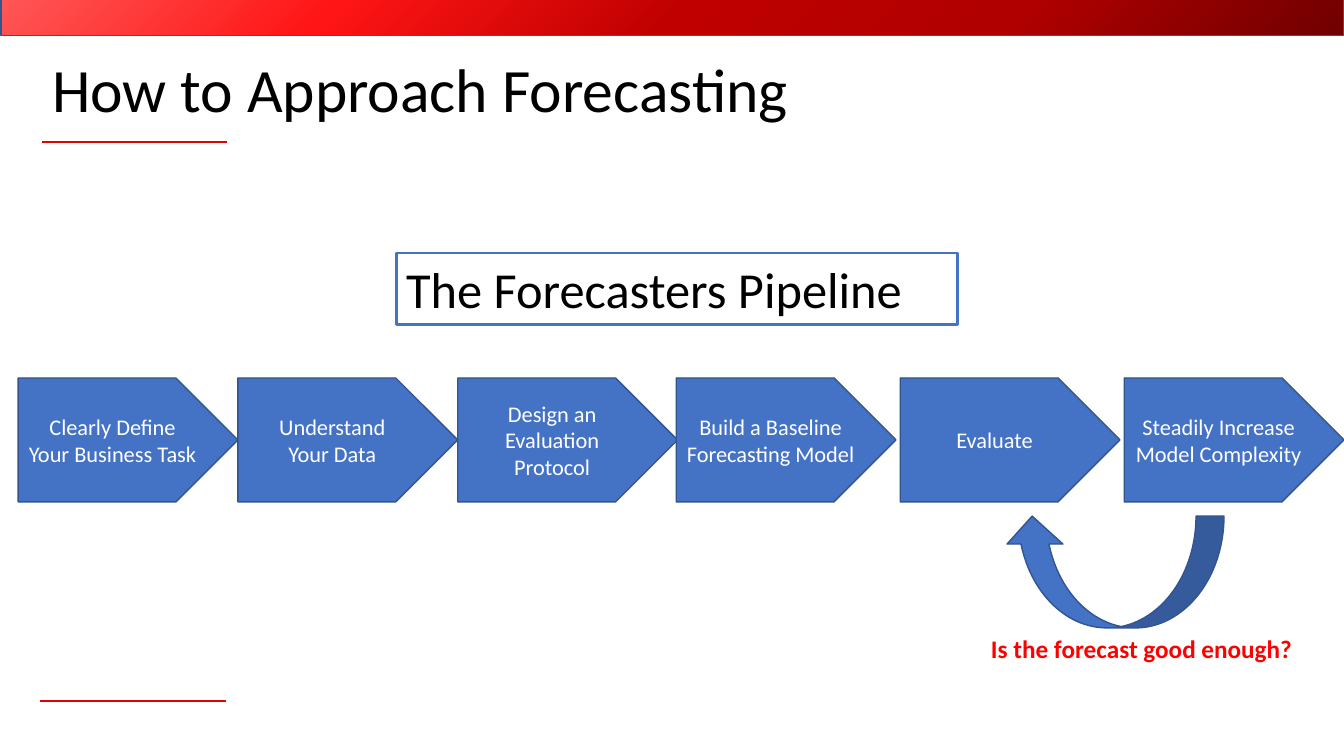
from dataclasses import dataclass

from lxml import etree
from pptx import Presentation
from pptx.dml.color import RGBColor
from pptx.enum.shapes import MSO_CONNECTOR, MSO_SHAPE
from pptx.enum.text import MSO_ANCHOR, PP_ALIGN
from pptx.oxml.ns import qn
from pptx.util import Inches, Pt

STRAIGHT = MSO_CONNECTOR.STRAIGHT
RECTANGLE, BAND = MSO_SHAPE.RECTANGLE, MSO_SHAPE.FLOWCHART_PROCESS
PENTAGON, CURVED_ARROW = MSO_SHAPE.PENTAGON, MSO_SHAPE.CURVED_UP_ARROW
TOP, MIDDLE = MSO_ANCHOR.TOP, MSO_ANCHOR.MIDDLE
LEFT, CENTER = PP_ALIGN.LEFT, PP_ALIGN.CENTER

GRID_COLUMNS, GRID_ROWS = 133.3, 75
CELL = Inches(0.1)
STEP_TOP, STEP_WIDTH, STEP_HEIGHT = 37.5, 21.8, 12.3
FIRST_STEP_LEFT = 1.8
LAST_STEP_LEFT = GRID_COLUMNS - STEP_WIDTH
WIDE_PITCH = GRID_COLUMNS / 6
TIGHT_STEPS = 3

STEPS = [
    ["Clearly Define", "Your Business Task"],
    ["Understand", "Your Data"],
    ["Design an Evaluation Protocol"],
    ["Build a Baseline Forecasting Model"],
    ["Evaluate"],
    ["Steadily Increase Model Complexity"],
]


@dataclass(frozen=True)
class Theme:
    """Hold the colours, font and type sizes of the slide."""

    font: str = "Calibri"
    blue: str = "4472C4"
    outline: str = "325491"
    rule: str = "E20000"
    alert: str = "FF0000"
    dark: str = "000000"
    light: str = "FFFFFF"
    band: tuple = ("FF5757", "FF1515", "C00000", "B00000", "700000")
    title_size: int = 44
    heading_size: int = 36
    question_size: int = 18
    step_size: int = 16


THEME = Theme()


def cells(*counts):
    """Turn counts of grid cells into slide lengths."""
    return [round(count * CELL) for count in counts]


def color(code):
    """Turn a hexadecimal code into a colour."""
    return RGBColor.from_string(code)


def add_box(slide, kind, area, fill=None, line=THEME.outline, weight=1):
    """Add a preset shape with a flat fill or none."""
    shape = slide.shapes.add_shape(kind, *cells(*area))
    shape.shadow.inherit = False
    if fill:
        shape.fill.solid()
        shape.fill.fore_color.rgb = color(fill)
    else:
        shape.fill.background()
    shape.line.color.rgb = color(line)
    shape.line.width = Pt(weight)
    return shape


def write(shape, lines, size, ink, align=LEFT, anchor=TOP, bold=False, spacing=1.0):
    """Write one paragraph for each line into a shape."""
    frame = shape.text_frame
    frame.word_wrap = True
    frame.vertical_anchor = anchor
    frame.text = "\n".join(lines)
    for paragraph in frame.paragraphs:
        paragraph.alignment = align
        paragraph.line_spacing = spacing
        paragraph.font.name = THEME.font
        paragraph.font.size = Pt(size)
        paragraph.font.bold = bold
        paragraph.font.color.rgb = color(ink)


def add_label(slide, area, text, size, ink, **style):
    """Add a text box with a single paragraph."""
    write(slide.shapes.add_textbox(*cells(*area)), [text], size, ink, **style)


def add_band(slide, area):
    """Add the banner with its evenly spaced diagonal gradient."""
    band = add_box(slide, BAND, area)
    band.fill.gradient()
    band.fill.gradient_angle = 315
    stops = band._element.spPr.find(qn("a:gradFill")).find(qn("a:gsLst"))
    for stop in list(stops):
        stops.remove(stop)
    interval = 100000 // (len(THEME.band) - 1)
    for index, code in enumerate(THEME.band):
        stop = etree.SubElement(stops, qn("a:gs"), pos=str(index * interval))
        etree.SubElement(stop, qn("a:srgbClr"), val=code)


def add_rule(slide, left, top, width):
    """Add a thin horizontal accent line."""
    rule = slide.shapes.add_connector(STRAIGHT, *cells(left, top, left + width, top))
    rule.line.color.rgb = color(THEME.rule)
    rule.line.width = Pt(1.5)
    etree.SubElement(rule._element.spPr, qn("a:effectLst"))


def step_left(index):
    """Give the left column of a step: touching at first, then spaced."""
    if index < TIGHT_STEPS:
        return FIRST_STEP_LEFT + index * STEP_WIDTH
    return LAST_STEP_LEFT - (len(STEPS) - 1 - index) * WIDE_PITCH


def add_pipeline(slide):
    """Add the row of pipeline steps."""
    for index, lines in enumerate(STEPS):
        area = (step_left(index), STEP_TOP, STEP_WIDTH, STEP_HEIGHT)
        step = add_box(slide, PENTAGON, area, THEME.blue)
        write(step, lines, THEME.step_size, THEME.light, CENTER, MIDDLE)


def add_return_arrow(slide, area):
    """Add the curved arrow that leads back to an earlier step."""
    arrow = add_box(slide, CURVED_ARROW, area, THEME.blue)
    arrow._element.spPr.xfrm.set("flipH", "1")


def main():
    """Build the forecasting slide and save it."""
    presentation = Presentation()
    presentation.slide_width, presentation.slide_height = cells(GRID_COLUMNS, GRID_ROWS)
    slide = presentation.slides.add_slide(presentation.slide_layouts[6])

    add_band(slide, (0.1, -0.3, 133.2, 3.8))
    add_rule(slide, 4, 69.5, 18.4)
    add_rule(slide, 4.2, 14.1, 18.3)
    add_label(slide, (4.2, 4.2, 115, 9.9), "How to Approach Forecasting",
              THEME.title_size, THEME.dark, anchor=MIDDLE, spacing=0.9)
    add_pipeline(slide)
    add_return_arrow(slide, (99.6, 51.2, 21.8, 11.1))
    heading = add_box(slide, RECTANGLE, (39.3, 25.1, 55.7, 7.1),
                      line=THEME.blue, weight=2)
    write(heading, ["The Forecasters Pipeline"], THEME.heading_size, THEME.dark)
    add_label(slide, (97.3, 62.3, 33, 4), "Is the forecast good enough?",
              THEME.question_size, THEME.alert, bold=True)

    presentation.save("out.pptx")


if __name__ == "__main__":
    main()
